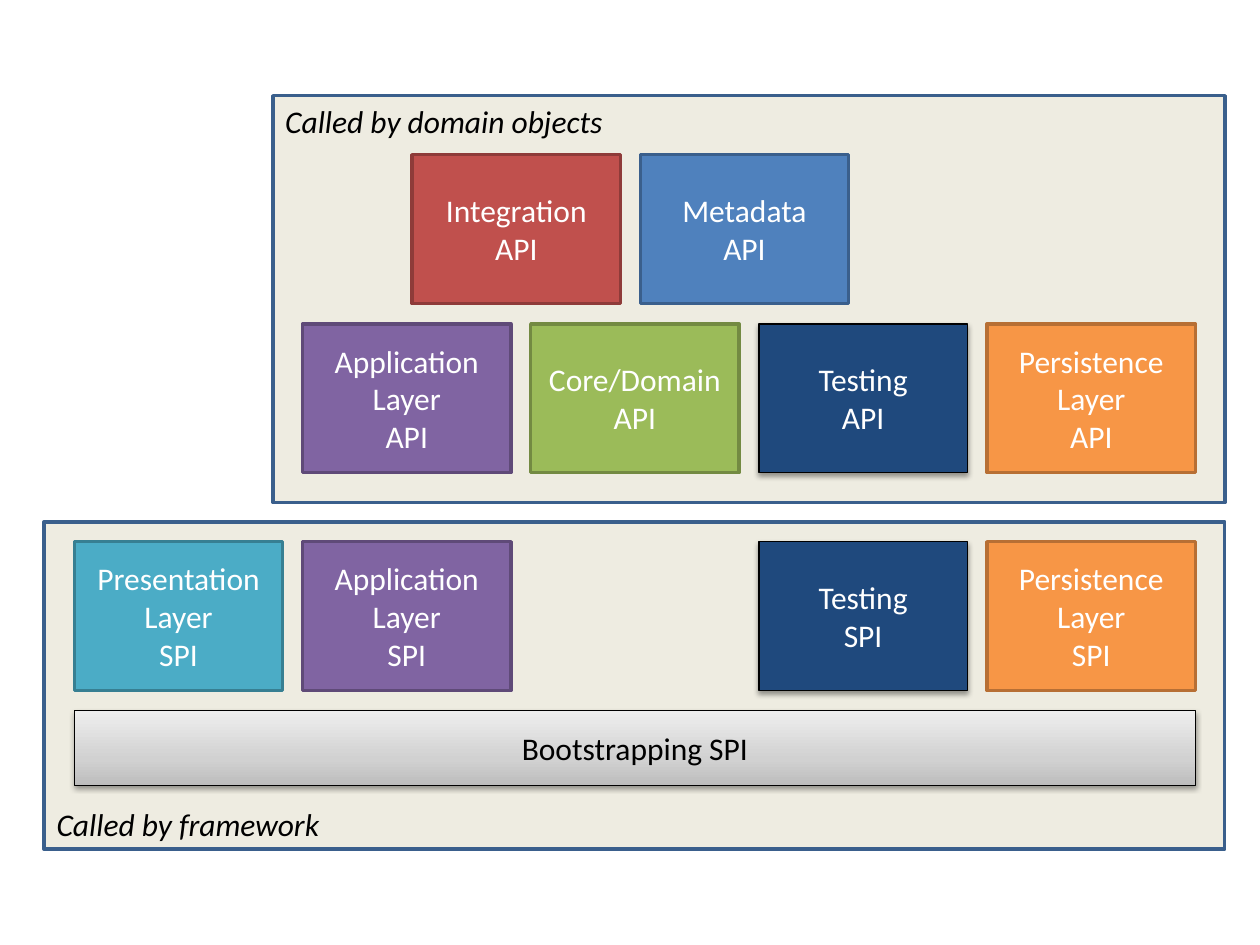
from copy import deepcopy
from dataclasses import dataclass
from typing import Optional

from lxml.etree import SubElement
from pptx import Presentation
from pptx.dml.color import RGBColor
from pptx.enum.shapes import MSO_SHAPE as Preset
from pptx.enum.text import MSO_ANCHOR as Anchor, PP_ALIGN as Align
from pptx.oxml.ns import qn
from pptx.shapes.autoshape import Shape
from pptx.util import Cm, Inches, Pt

BLACK = RGBColor(0x00, 0x00, 0x00)
WHITE = RGBColor(0xFF, 0xFF, 0xFF)
TAN = RGBColor(0xEE, 0xEC, 0xE1)
BLUE = RGBColor(0x4F, 0x81, 0xBD)
BLUE_EDGE = RGBColor(0x3A, 0x5F, 0x8C)
NAVY = RGBColor(0x1F, 0x49, 0x7D)
AQUA = RGBColor(0x4B, 0xAC, 0xC6)
AQUA_EDGE = RGBColor(0x37, 0x7F, 0x92)
PURPLE = RGBColor(0x80, 0x64, 0xA2)
PURPLE_EDGE = RGBColor(0x5F, 0x4A, 0x78)
GREEN = RGBColor(0x9B, 0xBB, 0x59)
GREEN_EDGE = RGBColor(0x73, 0x8A, 0x42)
ORANGE = RGBColor(0xF7, 0x96, 0x46)
ORANGE_EDGE = RGBColor(0xB7, 0x6F, 0x34)
RED = RGBColor(0xC0, 0x50, 0x4D)
RED_EDGE = RGBColor(0x8E, 0x3B, 0x39)
GRAY_STOPS = [
    (0, RGBColor(0xBD, 0xBD, 0xBD)),
    (0.35, RGBColor(0xD1, 0xD1, 0xD1)),
    (1, RGBColor(0xEE, 0xEE, 0xEE)),
]

GRID_LEFT, COLUMN_PITCH = 1.5, 4.6
MODULE_WIDTH, MODULE_HEIGHT = 4.2, 3.0
UPPER_API_ROW, API_ROW, SPI_ROW = 3.12, 6.53, 10.92
UPPER_SHIFT = 1.48


@dataclass
class Panel:
    caption: str
    left: float
    top: float
    width: float
    height: float
    anchor: Anchor


@dataclass
class Module:
    paragraphs: list[str]
    column: float
    row: float
    fill: RGBColor
    edge: Optional[RGBColor] = None


PANELS = [
    Panel("Called by framework", 0.89, 10.52, 23.8, 6.6, Anchor.BOTTOM),
    Panel("Called by domain objects", 5.5, 1.93, 19.2, 8.2, Anchor.TOP),
]
MODULES = [
    Module(["Integration\nAPI"], UPPER_SHIFT, UPPER_API_ROW, RED, RED_EDGE),
    Module(["Metadata\nAPI"], UPPER_SHIFT + 1, UPPER_API_ROW, BLUE, BLUE_EDGE),
    Module(["Application\nLayer", "API"], 1, API_ROW, PURPLE, PURPLE_EDGE),
    Module(["Core/Domain", "API"], 2, API_ROW, GREEN, GREEN_EDGE),
    Module(["Testing\nAPI"], 3, API_ROW, NAVY),
    Module(["Persistence\nLayer", "API"], 4, API_ROW, ORANGE, ORANGE_EDGE),
    Module(["Presentation\nLayer", "SPI"], 0, SPI_ROW, AQUA, AQUA_EDGE),
    Module(["Application\nLayer", "SPI"], 1, SPI_ROW, PURPLE, PURPLE_EDGE),
    Module(["Testing\nSPI"], 3, SPI_ROW, NAVY),
    Module(["Persistence Layer", "SPI"], 4, SPI_ROW, ORANGE, ORANGE_EDGE),
]

prs = Presentation()
prs.slide_width, prs.slide_height = Inches(10), Inches(7.5)
slide = prs.slides.add_slide(prs.slide_layouts[6])


def add_box(left: float, top: float, width: float, height: float,
            edge: Optional[RGBColor]) -> Shape:
    box = slide.shapes.add_shape(Preset.RECTANGLE, Cm(left), Cm(top), Cm(width), Cm(height))
    box.shadow.inherit = False
    box.line.color.rgb = edge or BLACK
    box.line.width = Pt(2 if edge else 0.75)
    if edge is None:
        cast_shadow(box)
    return box


def cast_shadow(box: Shape) -> None:
    effects = box.element.spPr.find(qn("a:effectLst"))
    shadow = SubElement(effects, qn("a:outerShdw"), blurRad=str(Pt(3.1)),
                        dist=str(Pt(1.6)), dir="5400000", rotWithShape="0")
    tint = SubElement(shadow, qn("a:srgbClr"), val=str(BLACK))
    SubElement(tint, qn("a:alpha"), val="38000")


def fill_solid(box: Shape, color: RGBColor) -> None:
    box.fill.solid()
    box.fill.fore_color.rgb = color


def fill_gray_gradient(box: Shape) -> None:
    box.fill.gradient()
    box.fill.gradient_angle = 90
    stop_list = next(box.element.spPr.iter(qn("a:gsLst")))
    stop_list.append(deepcopy(stop_list[0]))
    for stop, (position, color) in zip(box.fill.gradient_stops, GRAY_STOPS):
        stop.position = position
        stop.color.rgb = color


def write(box: Shape, paragraphs: list[str], color: RGBColor, align: Align = Align.CENTER,
          anchor: Anchor = Anchor.MIDDLE, italic: bool = False) -> None:
    frame = box.text_frame
    frame.word_wrap = True
    frame.vertical_anchor = anchor
    for index, text in enumerate(paragraphs):
        paragraph = frame.add_paragraph() if index else frame.paragraphs[0]
        paragraph.alignment = align
        for line_index, line in enumerate(text.split("\n")):
            if line_index:
                paragraph.add_line_break()
            run = paragraph.add_run()
            run.text = line
            run.font.name = "Calibri"
            run.font.size = Pt(18)
            run.font.italic = italic
            run.font.color.rgb = color


def draw_panel(panel: Panel) -> None:
    box = add_box(panel.left, panel.top, panel.width, panel.height, BLUE_EDGE)
    fill_solid(box, TAN)
    write(box, [panel.caption], BLACK, Align.LEFT, panel.anchor, italic=True)


def draw_module(module: Module) -> None:
    left = GRID_LEFT + module.column * COLUMN_PITCH
    box = add_box(left, module.row, MODULE_WIDTH, MODULE_HEIGHT, module.edge)
    fill_solid(box, module.fill)
    write(box, module.paragraphs, WHITE)


for panel in PANELS:
    draw_panel(panel)
for module in MODULES:
    draw_module(module)

bootstrapping = add_box(GRID_LEFT, 14.33, 4 * COLUMN_PITCH + MODULE_WIDTH, 1.5, None)
fill_gray_gradient(bootstrapping)
write(bootstrapping, ["Bootstrapping SPI"], BLACK)

prs.save("out.pptx")
